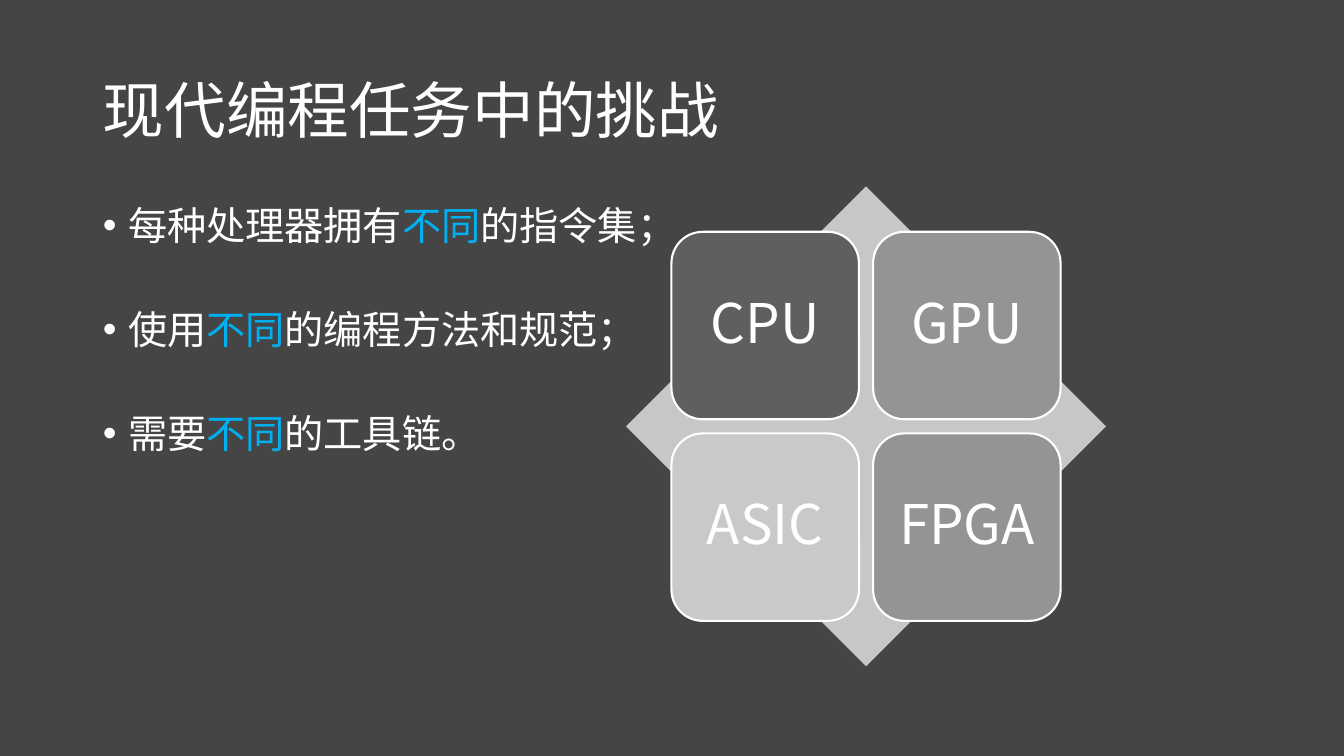
from pptx import Presentation
from pptx.dml.color import RGBColor
from pptx.enum.shapes import MSO_SHAPE
from pptx.enum.text import MSO_ANCHOR, MSO_AUTO_SIZE, PP_ALIGN
from pptx.util import Inches, Pt
from lxml import etree

DIAMOND, ROUNDED = MSO_SHAPE.DIAMOND, MSO_SHAPE.ROUNDED_RECTANGLE
MIDDLE, TOP = MSO_ANCHOR.MIDDLE, MSO_ANCHOR.TOP
LEFT, CENTER = PP_ALIGN.LEFT, PP_ALIGN.CENTER
NO_FIT = MSO_AUTO_SIZE.NONE
A = "http://schemas.openxmlformats.org/drawingml/2006/main"
FONT, WHITE, ACCENT = "Noto Sans CJK SC", "FFFFFF", "00B0F0"


def rgb(value):
    return RGBColor.from_string(value)


def format_run(r, size, color=WHITE):
    r.font.size = Pt(size)
    r.font.color.rgb = rgb(color)
    r.font.name = FONT
    etree.SubElement(r.font._element, f"{{{A}}}ea", typeface=FONT)


prs = Presentation()
prs.slide_width, prs.slide_height = Inches(13.33), Inches(7.5)
s = prs.slides.add_slide(prs.slide_layouts[1])
s.background.fill.solid()
s.background.fill.fore_color.rgb = rgb("454545")

# Title and body frames
title, body = s.shapes.title, s.placeholders[1]
for sp, top, height, anchor in ((title, 0.4, 1.45, MIDDLE), (body, 2, 4.76, TOP)):
    sp.left, sp.top = Inches(0.92), Inches(top)
    sp.width, sp.height = Inches(11.5), Inches(height)
    sp.text_frame.vertical_anchor = anchor
    sp.text_frame.auto_size = NO_FIT
    sp.text_frame.word_wrap = True

# Title
p = title.text_frame.paragraphs[0]
p.text = "现代编程任务中的挑战"
p.alignment, p.line_spacing = LEFT, 0.9
format_run(p.runs[0], 44)

# Bullets, each with one highlighted word
bullets = [
    ("每种处理器拥有", "不同", "的指令集；"),
    ("使用", "不同", "的编程方法和规范；"),
    ("需要", "不同", "的工具链。"),
]
tf = body.text_frame
for i, parts in enumerate(bullets):
    p = tf.paragraphs[0] if i == 0 else tf.add_paragraph()
    pPr = p._p.get_or_add_pPr()
    pPr.set("marL", str(Inches(0.25)))
    pPr.set("indent", str(-Inches(0.25)))
    etree.SubElement(pPr, f"{{{A}}}buFont", typeface="Arial")
    etree.SubElement(pPr, f"{{{A}}}buChar", char="•")
    p.alignment, p.line_spacing = LEFT, 0.9
    p.space_before = Pt(44 if i else 0)
    for text, color in zip(parts, (WHITE, ACCENT, WHITE)):
        r = p.add_run()
        r.text = text
        format_run(r, 28, color)

# Processor matrix: diamond behind a 2 x 2 grid of tiles
matrix = s.shapes.add_group_shape()
diamond = matrix.shapes.add_shape(
    DIAMOND, Inches(6.21), Inches(1.85), Inches(4.76), Inches(4.76))
diamond.shadow.inherit = False
diamond.fill.solid()
diamond.fill.fore_color.rgb = rgb("C7C7C7")
diamond.line.fill.background()

tile, pitch, inset = Inches(1.86), Inches(2), Inches(0.16)
processors = [("CPU", "5F5F5F"), ("GPU", "949494"), ("ASIC", "C9C9C9"), ("FPGA", "949494")]
for i, (name, color) in enumerate(processors):
    row, col = divmod(i, 2)
    sp = matrix.shapes.add_shape(
        ROUNDED, Inches(6.66) + col * pitch, Inches(2.3) + row * pitch, tile, tile)
    sp.shadow.inherit = False
    sp.fill.solid()
    sp.fill.fore_color.rgb = rgb(color)
    sp.line.color.rgb = rgb(WHITE)
    sp.line.width = Pt(1.5)
    tf = sp.text_frame
    tf.margin_left = tf.margin_right = tf.margin_top = tf.margin_bottom = inset
    tf.vertical_anchor, tf.word_wrap = MIDDLE, True
    p = tf.paragraphs[0]
    p.text = name
    p.alignment, p.line_spacing = CENTER, 0.9
    format_run(p.runs[0], 39)

prs.save("out.pptx")
